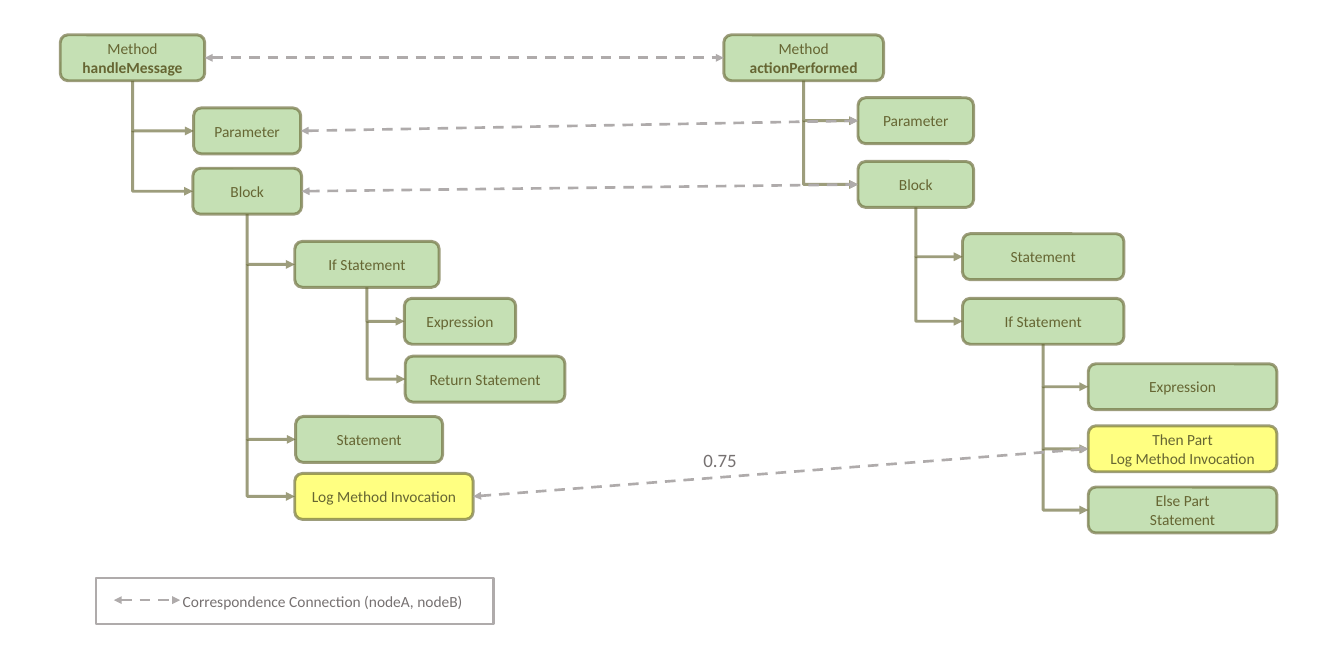
from dataclasses import dataclass
from itertools import chain

from lxml.etree import SubElement
from pptx import Presentation
from pptx.dml.color import RGBColor
from pptx.enum.dml import MSO_LINE
from pptx.enum.shapes import MSO_CONNECTOR, MSO_SHAPE
from pptx.enum.text import MSO_ANCHOR, PP_ALIGN
from pptx.oxml.ns import qn
from pptx.util import Inches, Pt

COLUMNS, ROWS = 158.2, 78.7
NODE_ROWS = 5.4
GREEN, YELLOW, OLIVE = "C5E0B4", "FFFF81", "666633"
LINK_GRAY, TEXT_GRAY = "AFABAB", "767171"


def color(hex_string):
    """Turn a hex string into a colour."""
    return RGBColor.from_string(hex_string)


def grid(units):
    """Turn grid columns or rows, ten to the inch, into a length."""
    return Inches(units / 10)


@dataclass
class Node:
    """A box of a syntax tree, placed in grid columns and rows."""
    lines: list
    left: float
    top: float
    width: float
    fill: str = GREEN
    bold_last: bool = False

    @property
    def center(self):
        """Column of the middle of the box."""
        return self.left + self.width / 2

    @property
    def right(self):
        """Column of the right edge."""
        return self.left + self.width

    @property
    def middle(self):
        """Row of the middle of the box."""
        return self.top + NODE_ROWS / 2


@dataclass
class DiagramSlide:
    """The current slide and the style of its elements."""
    slide: object
    font: str = "Calibri"
    size: float = 13.1
    tree_width: float = 2.5
    link_width: float = 2.25

    def add_run(self, paragraph, text, hex_string, size=None, bold=None):
        """Add one styled run to a paragraph."""
        run = paragraph.add_run()
        run.text = text
        run.font.name = self.font
        run.font.size = Pt(size or self.size)
        run.font.bold = bold
        run.font.color.rgb = color(hex_string)

    def style_line(self, line, hex_string, width, opacity=100):
        """Set colour, width and opacity of a line."""
        line.color.rgb = color(hex_string)
        line.width = Pt(width)
        if opacity < 100:
            solid = line.fill._xPr.find(qn("a:solidFill"))
            SubElement(solid[0], qn("a:alpha"), val=str(opacity * 1000))

    def box(self, kind, left, top, width, height):
        """Add a shape without shadow, its text centred vertically."""
        shape = self.slide.shapes.add_shape(
            kind, grid(left), grid(top), grid(width), grid(height))
        shape.shadow.inherit = False
        shape.text_frame.word_wrap = True
        shape.text_frame.vertical_anchor = MSO_ANCHOR.MIDDLE
        return shape

    def node(self, node):
        """Draw a tree node."""
        shape = self.box(MSO_SHAPE.ROUNDED_RECTANGLE,
                         node.left, node.top, node.width, NODE_ROWS)
        shape.fill.solid()
        shape.fill.fore_color.rgb = color(node.fill)
        self.style_line(shape.line, OLIVE, self.tree_width, 63)
        frame = shape.text_frame
        frame.margin_top = frame.margin_bottom = 0
        for index, text in enumerate(node.lines):
            paragraph = frame.add_paragraph() if index else frame.paragraphs[0]
            paragraph.alignment = PP_ALIGN.CENTER
            is_last = index == len(node.lines) - 1
            self.add_run(paragraph, text, OLIVE,
                         bold=True if node.bold_last and is_last else None)

    def connector(self, kind, start, end, ends):
        """Add a connector without shadow, with arrowheads at the named ends."""
        connector = self.slide.shapes.add_connector(
            kind, *map(grid, chain(start, end)))
        properties = connector._element.spPr
        outline = connector.line._get_or_add_ln()
        for name in ends:
            SubElement(outline, qn(f"a:{name}"), type="triangle")
        SubElement(properties, qn("a:effectLst"))
        return connector

    def branch(self, start, end):
        """Draw an elbow that runs down first and then right to its arrowhead."""
        across, down = end[0] - start[0], end[1] - start[1]
        middle_x, middle_y = start[0] + across / 2, start[1] + down / 2
        # The elbow is laid out on its side, then turned by 270 degrees.
        connector = self.connector(
            MSO_CONNECTOR.ELBOW,
            (middle_x + down / 2, middle_y - across / 2),
            (middle_x - down / 2, middle_y + across / 2), ["tailEnd"])
        properties = connector._element.spPr
        properties.find(qn("a:prstGeom")).set("prst", "bentConnector2")
        properties.find(qn("a:xfrm")).set("rot", str(270 * 60000))
        self.style_line(connector.line, OLIVE, self.tree_width, 63)

    def children(self, parent, nodes):
        """Join a parent to its children along one trunk."""
        trunk_row = parent.top + NODE_ROWS
        for child in nodes:
            self.branch((parent.center, trunk_row), (child.left, child.middle))
            trunk_row = child.middle

    def link(self, start, end):
        """Draw a dashed line with two arrowheads."""
        connector = self.connector(
            MSO_CONNECTOR.STRAIGHT, start, end, ["headEnd", "tailEnd"])
        self.style_line(connector.line, LINK_GRAY, self.link_width)
        connector.line.dash_style = MSO_LINE.DASH

    def legend(self, text, left, top, width):
        """Draw the legend frame, its text and its sample link."""
        shape = self.box(MSO_SHAPE.RECTANGLE, left, top, width, NODE_ROWS)
        shape.fill.background()
        self.style_line(shape.line, LINK_GRAY, self.link_width)
        shape.text_frame.margin_left = grid(10.2)
        paragraph = shape.text_frame.paragraphs[0]
        paragraph.alignment = PP_ALIGN.LEFT
        self.add_run(paragraph, text, TEXT_GRAY)
        sample_row = top + NODE_ROWS / 2 - 0.1
        self.link((left + 2.1, sample_row), (left + 9.9, sample_row))

    def label(self, text, left, top, width, height):
        """Add a free text label."""
        label = self.slide.shapes.add_textbox(
            grid(left), grid(top), grid(width), grid(height))
        label.text_frame.word_wrap = True
        self.add_run(label.text_frame.paragraphs[0], text, TEXT_GRAY, size=16)


def main():
    """Build the two syntax trees and the links between them."""
    presentation = Presentation()
    presentation.slide_width, presentation.slide_height = grid(COLUMNS), grid(ROWS)
    diagram = DiagramSlide(
        presentation.slides.add_slide(presentation.slide_layouts[6]))

    handle = Node(["Method", "handleMessage"], 7.1, 4.1, 17, bold_last=True)
    parameter_a = Node(["Parameter"], 22.8, 12.7, 12.6)
    block_a = Node(["Block"], 22.7, 19.8, 12.8)
    if_a = Node(["If Statement"], 34.7, 28.4, 17)
    expression_a = Node(["Expression"], 47.6, 35.1, 13.1)
    return_a = Node(["Return Statement"], 47.7, 41.9, 18.8)
    statement_a = Node(["Statement"], 34.8, 49, 17.3)
    log_a = Node(["Log Method Invocation"], 34.7, 55.7, 21, YELLOW)

    action = Node(["Method", "actionPerformed"], 85.2, 4.1, 18.8, bold_last=True)
    parameter_b = Node(["Parameter"], 101, 11.5, 13.6)
    block_b = Node(["Block"], 101, 19, 13.6)
    statement_b = Node(["Statement"], 113.3, 27.5, 19)
    if_b = Node(["If Statement"], 113.3, 35.1, 19)
    expression_b = Node(["Expression"], 128.1, 42.8, 22.2)
    then_b = Node(["Then Part", "Log Method Invocation"], 128.1, 50.1, 22.2, YELLOW)
    else_b = Node(["Else Part", "Statement"], 128.1, 57.3, 22.2)

    trees = [
        (handle, [parameter_a, block_a]),
        (block_a, [if_a, statement_a, log_a]),
        (if_a, [expression_a, return_a]),
        (action, [parameter_b, block_b]),
        (block_b, [statement_b, if_b]),
        (if_b, [expression_b, then_b, else_b]),
    ]
    for node in chain([handle, action], *(nodes for _, nodes in trees)):
        diagram.node(node)
    for parent, nodes in trees:
        diagram.children(parent, nodes)

    for node_a, node_b in [(handle, action), (parameter_a, parameter_b),
                           (block_a, block_b), (log_a, then_b)]:
        diagram.link((node_a.right, node_a.middle), (node_b.left, node_b.middle))
    diagram.label("0.75", 81.8, 52.3, 6.8, 3.7)
    diagram.legend("Correspondence Connection (nodeA, nodeB)", 11.3, 68, 46.8)
    presentation.save("out.pptx")


main()
